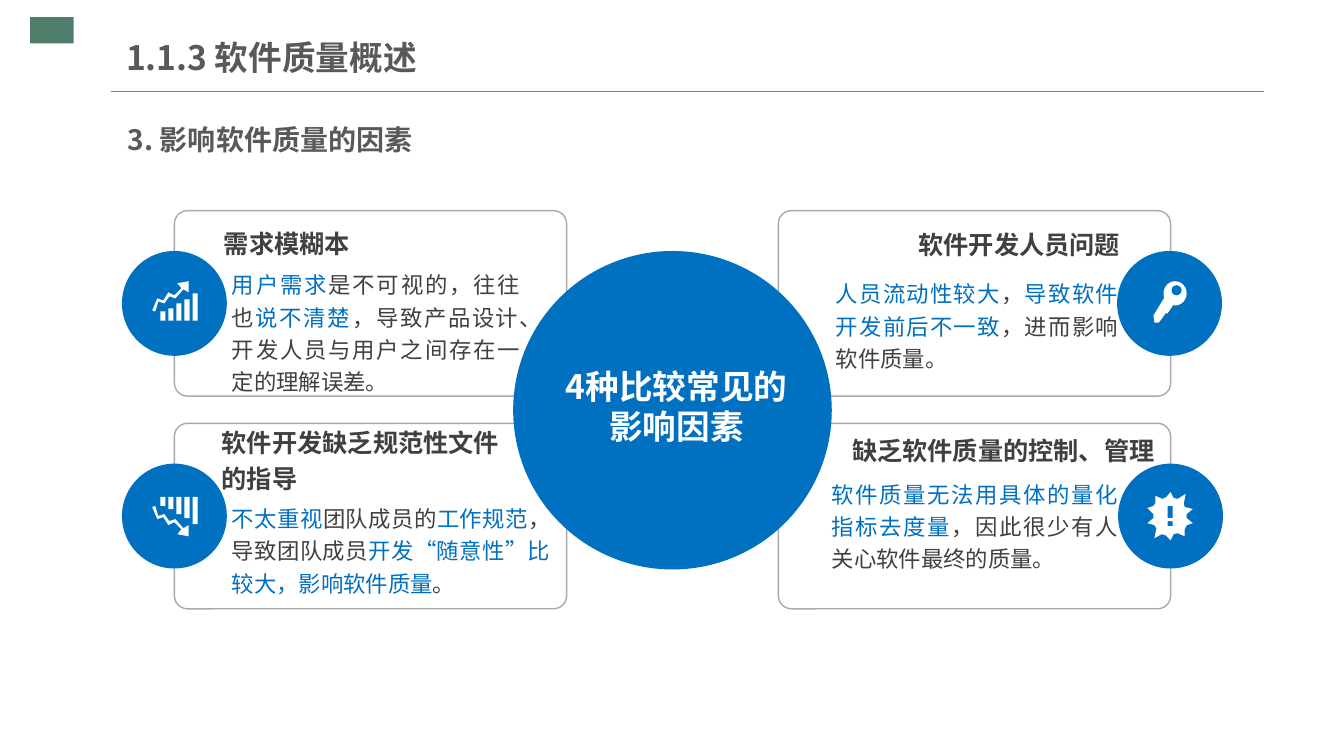
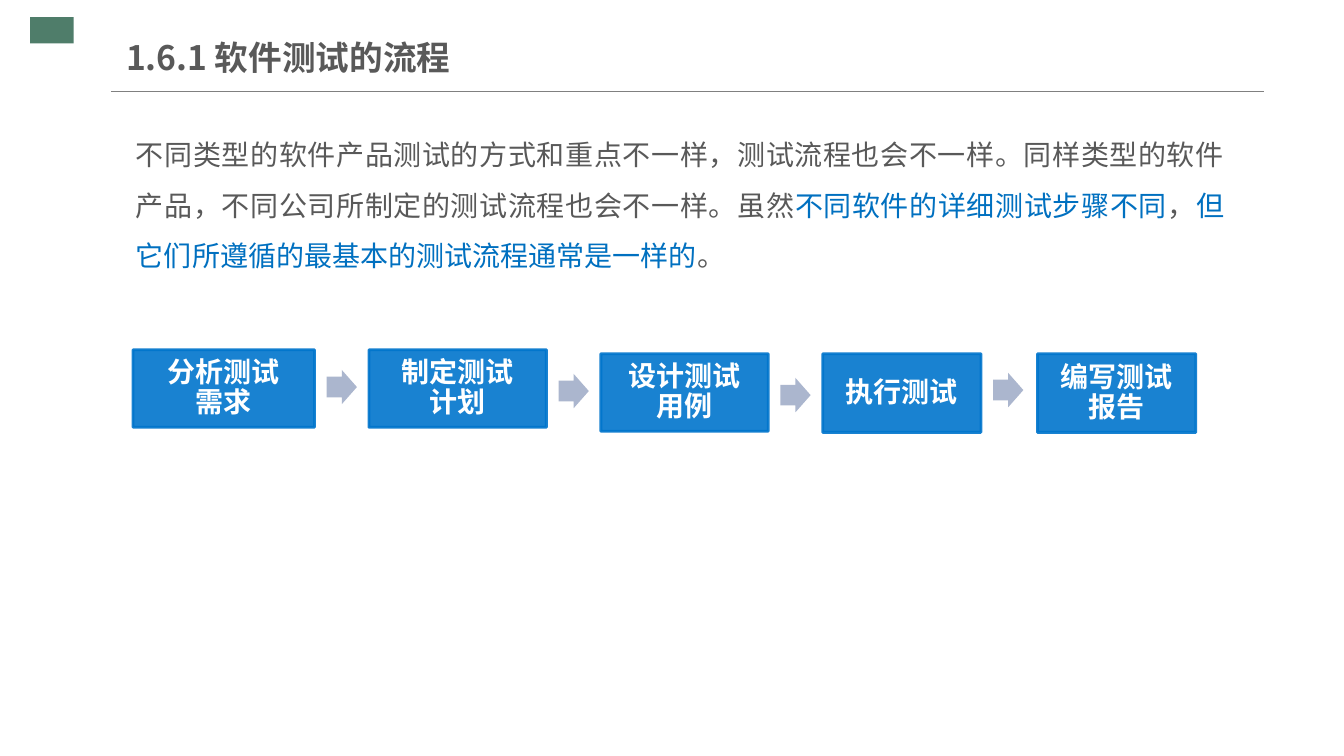
"""Build two slides on software quality factors and the software testing process."""
from dataclasses import dataclass
from typing import NamedTuple

from lxml import etree
from pptx import Presentation
from pptx.dml.color import RGBColor
from pptx.enum.shapes import MSO_CONNECTOR, MSO_SHAPE
from pptx.enum.text import MSO_ANCHOR, PP_ALIGN
from pptx.oxml.ns import qn
from pptx.util import Inches, Pt

RECTANGLE = MSO_SHAPE.RECTANGLE
ROUNDED = MSO_SHAPE.ROUNDED_RECTANGLE
OVAL = MSO_SHAPE.OVAL
RIGHT_ARROW = MSO_SHAPE.RIGHT_ARROW
STRAIGHT = MSO_CONNECTOR.STRAIGHT
TOP, MIDDLE = MSO_ANCHOR.TOP, MSO_ANCHOR.MIDDLE
LEFT, RIGHT = PP_ALIGN.LEFT, PP_ALIGN.RIGHT
CENTER, JUSTIFY = PP_ALIGN.CENTER, PP_ALIGN.JUSTIFY

FONT = "Noto Sans CJK SC"
GREEN = RGBColor(0x4F, 0x7D, 0x6A)
RULE_GRAY = RGBColor(0x80, 0x80, 0x80)
PANEL_GRAY = RGBColor(0xA6, 0xAA, 0xA9)
TITLE_GRAY = RGBColor(0x59, 0x59, 0x59)
DARK = RGBColor(0x40, 0x40, 0x40)
BLUE = RGBColor(0x00, 0x70, 0xC0)
STEP_BLUE = RGBColor(0x00, 0x75, 0xCC)
ARROW_BLUE = RGBColor(0xAB, 0xB6, 0xCE)
WHITE = RGBColor(0xFF, 0xFF, 0xFF)

PANEL_WIDTH, PANEL_HEIGHT = 3.89, 1.84
BADGE_SIZE, BADGE_DROP = 1.04, 0.4
ICON_HEIGHT = 0.39
NO_INSETS = (0, 0, 0, 0)
DEFAULT_INSETS = (0.1, 0.05, 0.1, 0.05)


class Box(NamedTuple):
    left: float
    top: float
    width: float
    height: float


class Span(NamedTuple):
    text: str
    color: RGBColor


@dataclass
class Style:
    size: float
    bold: bool = False
    align: PP_ALIGN = LEFT
    anchor: MSO_ANCHOR = TOP
    line_spacing: float = 1.0
    space_after: float = 0
    insets: tuple[float, ...] = NO_INSETS


@dataclass
class Factor:
    panel_left: float
    panel_top: float
    badge_left: float
    heading: str
    heading_box: Box
    heading_style: Style
    body: list[Span]
    body_box: Box


@dataclass
class Step:
    text: str
    box: Box
    arrow_top: float | None = None


TITLE = Style(24, True, anchor=MIDDLE, insets=(0, 0.07, 0, 0.07))
SUBTITLE = Style(20, True, JUSTIFY, line_spacing=1.5, insets=DEFAULT_INSETS)
INTRO = Style(20, align=JUSTIFY, line_spacing=1.5, insets=DEFAULT_INSETS)
LEFT_HEADING = Style(18, True, anchor=MIDDLE, line_spacing=1.2)
RIGHT_HEADING = Style(18, True, RIGHT, MIDDLE)
BODY = Style(16, align=JUSTIFY, line_spacing=1.2)
HUB = Style(24, True, CENTER, MIDDLE)
STEP = Style(20, True, CENTER, MIDDLE, 0.9, 7, (0.21, 0.04, 0.21, 0.04))

FACTORS = [
    Factor(1.73, 2.09, 1.21, "需求模糊本", Box(2.22, 2.17, 2.04, 0.44), LEFT_HEADING,
           [Span("用户需求", BLUE), Span("是不可视的，往往也", DARK), Span("说不清楚", BLUE),
            Span("，导致产品设计、开发人员与用户之间存在一定的理解误差。", DARK)],
           Box(2.3, 2.64, 2.86, 1.25)),
    Factor(1.73, 4.2, 1.21, "软件开发缺乏规范性文件的指导", Box(2.2, 4.29, 2.77, 0.5), LEFT_HEADING,
           [Span("不太重视", BLUE), Span("团队成员的", DARK), Span("工作规范", BLUE),
            Span("，导致团队成员", DARK), Span("开发“随意性”比较大，影响软件质量", BLUE),
            Span("。", DARK)],
           Box(2.3, 4.96, 3.16, 0.92)),
    Factor(7.72, 2.09, 11.08, "软件开发人员问题", Box(9.07, 2.21, 2.04, 0.44), RIGHT_HEADING,
           [Span("人员流动性较大", BLUE), Span("，", DARK), Span("导致软件开发前后不一致", BLUE),
            Span("，进而影响软件质量。", DARK)],
           Box(8.29, 2.73, 2.8, 0.98)),
    Factor(7.72, 4.2, 11.09, "缺乏软件质量的控制、管理", Box(8.43, 4.25, 3.02, 0.44), RIGHT_HEADING,
           [Span("软件质量无法用具体的量化指标去度量", BLUE),
            Span("，因此很少有人关心软件最终的质量。", DARK)],
           Box(8.25, 4.72, 2.84, 1.24)),
]

STEPS = [
    Step("分析测试需求", Box(1.32, 3.47, 1.8, 0.77), 3.67),
    Step("制定测试计划", Box(3.66, 3.47, 1.76, 0.77), 3.71),
    Step("设计测试用例", Box(5.96, 3.51, 1.66, 0.77), 3.75),
    Step("执行测试", Box(8.16, 3.51, 1.57, 0.78), 3.7),
    Step("编写测试报告", Box(10.29, 3.51, 1.57, 0.78)),
]

TREND_ARROW = [
    (0.17, 0.15), (0.23, 0.17), (0.3, 0.09), (0.31, 0.08), (0.36, 0.11), (0.36, 0),
    (0.25, 0.02), (0.29, 0.07), (0.22, 0.14), (0.16, 0.11), (0.11, 0.19), (0.05, 0.17),
    (0, 0.29), (0.03, 0.3), (0.06, 0.2), (0.12, 0.22),
]
BAR_TOPS = [0.3, 0.27, 0.22, 0.18, 0.12]
KEY_SHAFT = [
    (11.55, 2.95), (11.44, 3.13), (11.45, 3.2), (11.49, 3.2),
    (11.51, 3.18), (11.56, 3.11), (11.58, 3.11), (11.64, 3.02),
]
BURST = [
    (11.83, 5.19), (11.77, 5.14), (11.77, 5.1), (11.83, 5.05), (11.75, 5.03), (11.74, 5),
    (11.76, 4.9), (11.68, 4.95), (11.64, 4.94), (11.61, 4.88), (11.57, 4.93), (11.53, 4.95),
    (11.46, 4.92), (11.46, 4.99), (11.44, 5.02), (11.38, 5.04), (11.44, 5.1), (11.44, 5.14),
    (11.38, 5.19), (11.45, 5.21), (11.47, 5.24), (11.45, 5.34), (11.52, 5.3), (11.56, 5.31),
    (11.61, 5.36), (11.64, 5.3), (11.68, 5.29), (11.75, 5.32), (11.75, 5.25), (11.77, 5.21),
]


def inches(values) -> list:
    return [Inches(value) for value in values]


def paint(shape, fill: RGBColor | None, line: RGBColor | None = None, width: float = 1):
    shape.shadow.inherit = False
    if fill is None:
        shape.fill.background()
    else:
        shape.fill.solid()
        shape.fill.fore_color.rgb = fill
    if line is None:
        shape.line.fill.background()
    else:
        shape.line.color.rgb = line
        shape.line.width = Pt(width)
    return shape


def add_shape(page, kind, box: Box, fill, line=None, width: float = 1):
    return paint(page.shapes.add_shape(kind, *inches(box)), fill, line, width)


def add_outline(page, contours: list, fill: RGBColor) -> None:
    builder = None
    for contour in contours:
        first, *rest = [inches(point) for point in contour]
        if builder is None:
            builder = page.shapes.build_freeform(*first)
        else:
            builder.move_to(*first)
        builder.add_line_segments(rest, close=True)
    paint(builder.convert_to_shape(), fill)


def write(shape, spans: list[Span], style: Style) -> None:
    frame = shape.text_frame
    frame.word_wrap = True
    frame.vertical_anchor = style.anchor
    (frame.margin_left, frame.margin_top,
     frame.margin_right, frame.margin_bottom) = inches(style.insets)
    para = frame.paragraphs[0]
    para.alignment = style.align
    para.line_spacing = style.line_spacing
    para.space_after = Pt(style.space_after)
    for text, color in spans:
        span = para.add_run()
        span.text = text
        span.font.size = Pt(style.size)
        span.font.bold = style.bold
        span.font.color.rgb = color
        span.font.name = FONT
        properties = span._r.get_or_add_rPr()
        properties.set("lang", "zh-CN")
        etree.SubElement(properties, qn("a:ea"), typeface=FONT)


def add_text(page, box: Box, spans: list[Span], style: Style) -> None:
    write(page.shapes.add_textbox(*inches(box)), spans, style)


def add_page(deck, title: str):
    page = deck.slides.add_slide(deck.slide_layouts[6])
    add_shape(page, RECTANGLE, Box(0.3, 0.17, 0.43, 0.26), GREEN)
    rule = page.shapes.add_connector(STRAIGHT, *inches((1.1, 0.91, 12.54, 0.91)))
    rule.line.color.rgb = RULE_GRAY
    rule.line.width = Pt(0.75)
    etree.SubElement(rule.element.spPr, qn("a:effectLst"))
    add_text(page, Box(1.25, 0.29, 5.28, 0.55), [Span(title, TITLE_GRAY)], TITLE)
    return page


def rectangle(left: float, top: float, right: float, bottom: float) -> list:
    return [(left, top), (right, top), (right, bottom), (left, bottom)]


def add_trend_icon(page, left: float, top: float, falling: bool) -> None:
    bars = [rectangle(0.08 + 0.08 * index, bar_top, 0.13 + 0.08 * index, ICON_HEIGHT)
            for index, bar_top in enumerate(BAR_TOPS)]
    contours = [[(left + x, top + (ICON_HEIGHT - y if falling else y)) for x, y in contour]
                for contour in [TREND_ARROW, *bars]]
    add_outline(page, contours, WHITE)


def add_key_icon(page) -> None:
    add_outline(page, [KEY_SHAFT], WHITE)
    add_shape(page, OVAL, Box(11.54, 2.79, 0.23, 0.24), WHITE)
    add_shape(page, OVAL, Box(11.62, 2.83, 0.1, 0.1), BLUE)


def add_warning_icon(page) -> None:
    mark = [rectangle(11.58, 5.02, 11.63, 5.14), rectangle(11.58, 5.17, 11.63, 5.22)]
    add_outline(page, [BURST, *mark], WHITE)


def build_factors(deck) -> None:
    page = add_page(deck, "1.1.3 软件质量概述")
    add_text(page, Box(1.17, 1, 10.99, 0.68), [Span("3. 影响软件质量的因素", TITLE_GRAY)], SUBTITLE)
    for factor in FACTORS:
        box = Box(factor.panel_left, factor.panel_top, PANEL_WIDTH, PANEL_HEIGHT)
        panel = add_shape(page, ROUNDED, box, None, PANEL_GRAY)
        panel.adjustments[0] = 0.07
    add_shape(page, OVAL, Box(5.09, 2.49, 3.16, 3.16), BLUE)
    for factor in FACTORS:
        add_text(page, factor.body_box, factor.body, BODY)
        add_text(page, factor.heading_box, [Span(factor.heading, DARK)], factor.heading_style)
        badge_top = factor.panel_top + BADGE_DROP
        add_shape(page, OVAL, Box(factor.badge_left, badge_top, BADGE_SIZE, BADGE_SIZE), BLUE)
    add_trend_icon(page, 1.51, 2.79, falling=False)
    add_trend_icon(page, 1.51, 4.93, falling=True)
    add_key_icon(page)
    add_warning_icon(page)
    add_text(page, Box(5.53, 3.53, 2.36, 0.99), [Span("4种比较常见的影响因素", WHITE)], HUB)


def build_process(deck) -> None:
    page = add_page(deck, "1.6.1 软件测试的流程")
    intro = [
        Span("不同类型的软件产品测试的方式和重点不一样，测试流程也会不一样。"
             "同样类型的软件产品，不同公司所制定的测试流程也会不一样。虽然", TITLE_GRAY),
        Span("不同软件的详细测试步骤不同", BLUE), Span("，", TITLE_GRAY),
        Span("但它们所遵循的最基本的测试流程通常是一样的", BLUE), Span("。", TITLE_GRAY),
    ]
    add_text(page, Box(1.25, 1.15, 10.99, 1.62), intro, INTRO)
    for step in STEPS:
        block = add_shape(page, RECTANGLE, step.box, STEP_BLUE, STEP_BLUE, 2)
        for color in block.element.spPr.iter(qn("a:srgbClr")):
            etree.SubElement(color, qn("a:alpha"), val="90000")
        write(block, [Span(step.text, WHITE)], STEP)
        if step.arrow_top is not None:
            arrow_left = step.box.left + step.box.width + 0.12
            arrow = add_shape(page, RIGHT_ARROW, Box(arrow_left, step.arrow_top, 0.3, 0.34), ARROW_BLUE)
            arrow.adjustments[0] = 0.6


def main() -> None:
    deck = Presentation()
    deck.slide_width, deck.slide_height = Inches(13.33), Inches(7.5)
    build_factors(deck)
    build_process(deck)
    deck.save("out.pptx")


if __name__ == "__main__":
    main()
